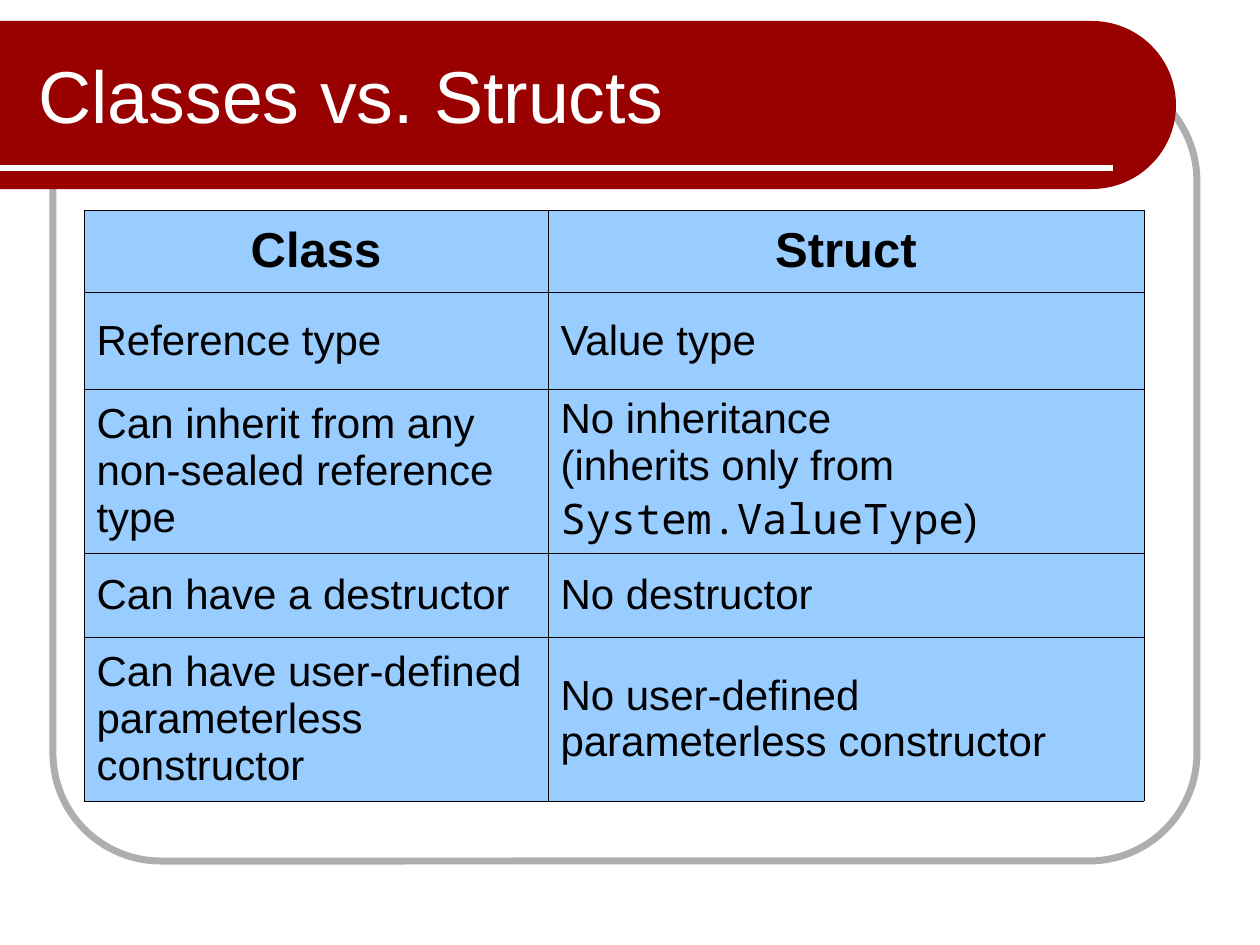
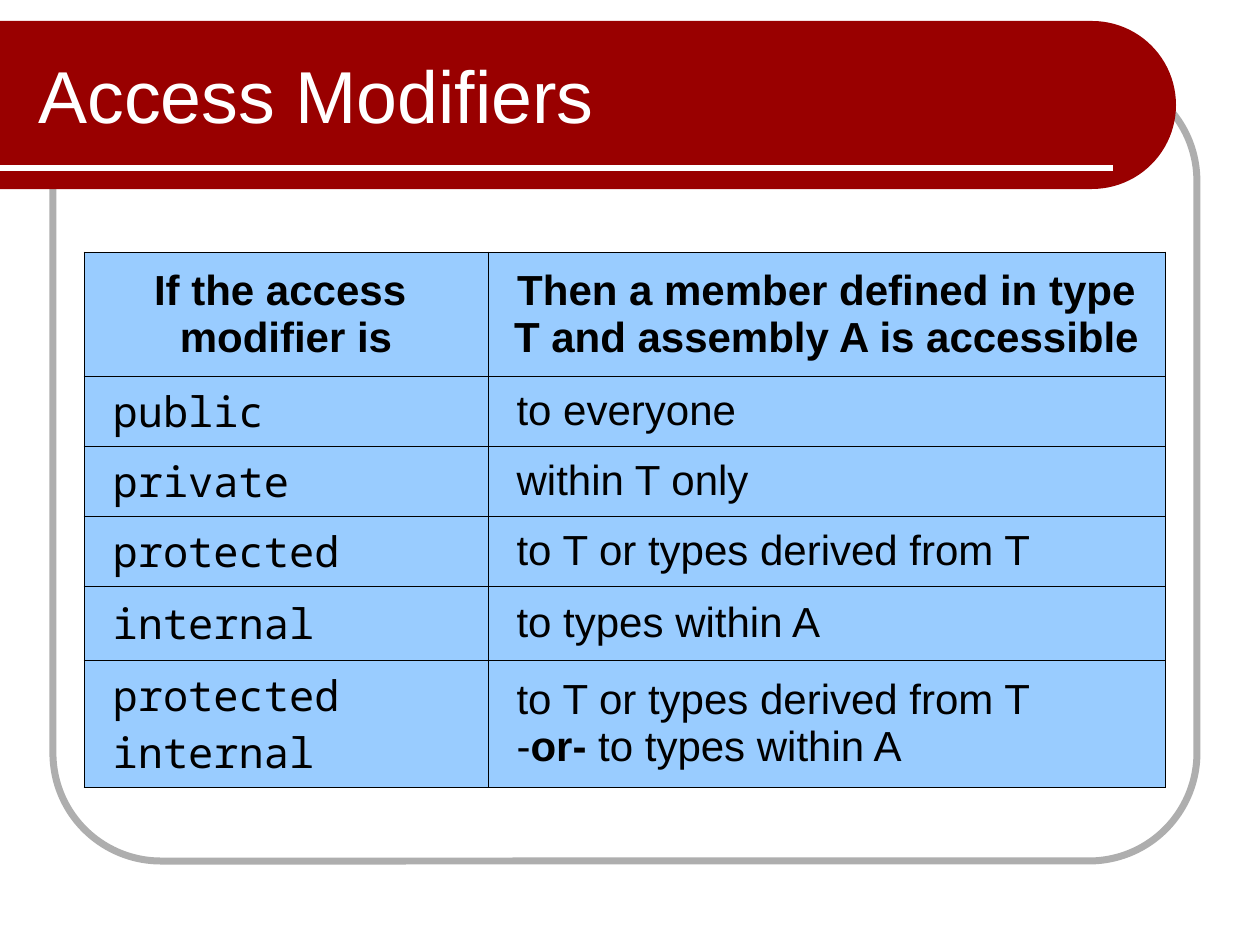
from dataclasses import dataclass
from math import cos, pi, sin

from lxml.etree import SubElement
from pptx import Presentation
from pptx.dml.color import RGBColor as Color
from pptx.enum.shapes import MSO_CONNECTOR as Connector, MSO_SHAPE as Preset
from pptx.enum.text import MSO_ANCHOR as Anchor, PP_ALIGN as Align
from pptx.oxml.ns import qn
from pptx.util import Emu, Pt

EMU_PER_PIXEL = 914400 / 126


@dataclass(frozen=True)
class Theme:
    """Colours, fonts and type sizes shared by all slides."""
    band: str = "990000"
    frame: str = "AEAEAE"
    light: str = "FFFFFF"
    ink: str = "000000"
    cell: str = "99CCFF"
    sans: str = "Arial"
    mono: str = "Noto Sans Mono"
    title: int = 42
    heading: int = 28
    body: int = 24
    border: float = 0.45


@dataclass(frozen=True)
class Box:
    """A rectangle in pixels."""
    left: int
    top: int
    width: int
    height: int

    def emu(self):
        return [px(n) for n in (self.left, self.top, self.width, self.height)]


@dataclass(frozen=True)
class Span:
    """A stretch of text; None for bold keeps the paragraph's weight."""
    text: str
    font: str = Theme.sans
    bold: bool | None = None


THEME = Theme()
PAGE = Box(0, 0, 1260, 945)
FRAME = Box(53, 73, 1144, 788)
BAND = Box(0, 21, 1176, 168)
TITLE = Box(26, 31, 982, 126)


def px(count):
    """Turn pixels into EMU."""
    return Emu(round(count * EMU_PER_PIXEL))


def color(code):
    """Turn an RRGGBB code into a colour."""
    return Color.from_string(code)


def code(text):
    """Return one span in the code font."""
    return [Span(text, THEME.mono)]


def style_font(font, size, tint, bold=False, name=THEME.sans):
    """Set the properties of a font."""
    font.name, font.size, font.bold = name, Pt(size), bold
    font.color.rgb = color(tint)


def draw_frame(page, box):
    """Draw the grey rounded outline around the content."""
    frame = page.shapes.add_shape(Preset.ROUNDED_RECTANGLE, *box.emu())
    frame.adjustments[0] = 0.137
    frame.shadow.inherit = False
    frame.fill.background()
    frame.line.color.rgb = color(THEME.frame)
    frame.line.width = Pt(4)


def draw_band(page, box):
    """Draw the title band, round at its right end, with its rule."""
    radius, steps = box.height / 2, 48
    center_x, center_y = box.left + box.width - radius, box.top + radius
    angles = [pi * step / steps - pi / 2 for step in range(steps + 1)]
    arc = [(center_x + radius * cos(a), center_y + radius * sin(a)) for a in angles]
    outline = [(x * EMU_PER_PIXEL, y * EMU_PER_PIXEL)
               for x, y in arc + [(box.left, box.top + box.height)]]
    builder = page.shapes.build_freeform(px(box.left), px(box.top))
    builder.add_line_segments(outline, close=True)
    band = builder.convert_to_shape()
    band.shadow.inherit = False
    band.fill.solid()
    band.fill.fore_color.rgb = color(THEME.band)
    band.line.fill.background()

    rule_y = px(box.top + box.height - 21)
    rule = page.shapes.add_connector(Connector.STRAIGHT, px(box.left), rule_y,
                                     px(box.left + box.width - 63), rule_y)
    rule.line.color.rgb = color(THEME.light)
    rule.line.width = Pt(3)
    SubElement(rule.element.spPr, qn("a:effectLst"))


def write_title(page, box, text):
    """Write the slide title in the band."""
    frame = page.shapes.add_textbox(*box.emu()).text_frame
    frame.word_wrap = True
    frame.vertical_anchor = Anchor.MIDDLE
    para = frame.paragraphs[0]
    para.text = text
    style_font(para.font, THEME.title, THEME.light)


def set_borders(cell):
    """Give a cell thin borders; they must precede its fill."""
    properties = cell._tc.get_or_add_tcPr()
    for side in ("a:lnL", "a:lnR", "a:lnT", "a:lnB"):
        line = SubElement(properties, qn(side), w=str(Pt(THEME.border)))
        fill = SubElement(line, qn("a:solidFill"))
        SubElement(fill, qn("a:srgbClr"), val=THEME.ink)


def fill_cell(cell, content, size, heading, indent):
    """Style a cell and write a string or a list of spans into it."""
    set_borders(cell)
    cell.fill.solid()
    cell.fill.fore_color.rgb = color(THEME.cell)
    cell.vertical_anchor = Anchor.MIDDLE
    para = cell.text_frame.paragraphs[0]
    para.space_before = Pt(7 if size == THEME.heading else 6)
    style_font(para.font, size, THEME.ink, heading)
    if heading:
        para.alignment = Align.CENTER
    elif indent:
        para._p.get_or_add_pPr().set("marL", str(px(indent)))
    spans = [Span(content)] if isinstance(content, str) else content
    for span in spans:
        for number, text in enumerate(span.text.split("\n")):
            if number:
                para.add_line_break()
            run = para.add_run()
            run.text = text
            bold = heading if span.bold is None else span.bold
            style_font(run.font, size, THEME.ink, bold, span.font)


def draw_table(page, left, top, widths, heights, rows, heading_size, indent=0):
    """Draw a two-column comparison whose first row is the heading."""
    box = Box(left, top, sum(widths), sum(heights))
    table = page.shapes.add_table(len(rows), len(widths), *box.emu()).table
    table.first_row = table.horz_banding = False
    for column, width in zip(table.columns, widths):
        column.width = px(width)
    for number, (row, height, contents) in enumerate(zip(table.rows, heights, rows)):
        row.height = px(height)
        heading = number == 0
        size = heading_size if heading else THEME.body
        for cell, content in zip(row.cells, contents):
            fill_cell(cell, content, size, heading, indent)


def add_page(deck, title, **table):
    """Add a slide with frame, band, table and title."""
    page = deck.slides.add_slide(deck.slide_layouts[6])
    draw_frame(page, FRAME)
    draw_band(page, BAND)
    draw_table(page, **table)
    write_title(page, TITLE, title)


CLASS_ROWS = [
    ("Class", "Struct"),
    ("Reference type", "Value type"),
    ("Can inherit from any \nnon-sealed reference type",
     [Span("No inheritance\n(inherits only from "),
      *code("System.ValueType"), Span(")")]),
    ("Can have a destructor", "No destructor"),
    ("Can have user-defined parameterless constructor",
     "No user-defined parameterless constructor"),
]

ACCESS_ROWS = [
    ("If the access \nmodifier is",
     "Then a member defined in type T and assembly A is accessible"),
    (code("public"), "to everyone"),
    (code("private"), "within T only"),
    (code("protected"), "to T or types derived from T"),
    (code("internal"), "to types within A"),
    (code("protected internal"),
     [Span("to T or types derived from T\n-"), Span("or-", bold=True),
      Span(" to types within A")]),
]


def main():
    """Build and save the deck."""
    deck = Presentation()
    deck.slide_width, deck.slide_height = px(PAGE.width), px(PAGE.height)
    add_page(deck, "Classes vs. Structs", left=84, top=210,
             widths=(464, 596), heights=(82, 97, 164, 84, 164),
             rows=CLASS_ROWS, heading_size=THEME.heading)
    add_page(deck, "Access Modifiers", left=84, top=252,
             widths=(404, 677), heights=(124, 64, 67, 70, 74, 113),
             rows=ACCESS_ROWS, heading_size=THEME.body, indent=16)
    deck.save("out.pptx")


main()
